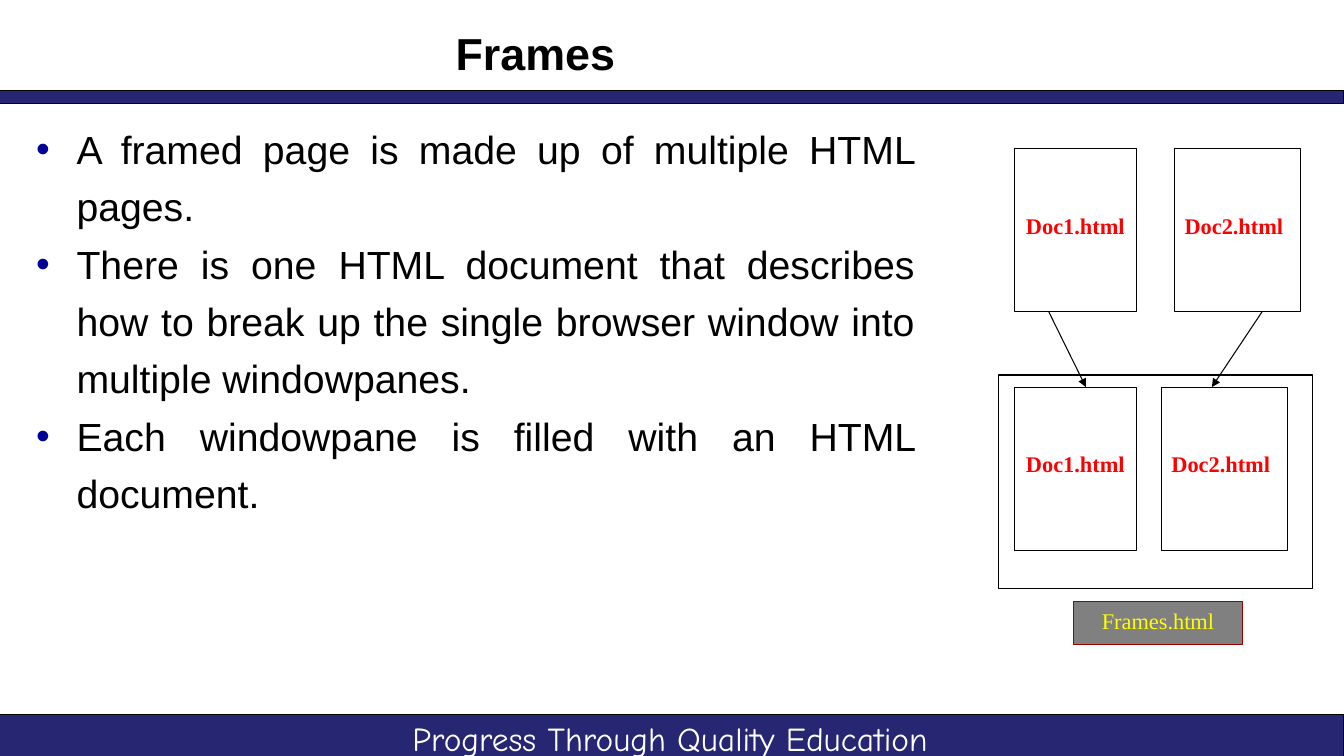
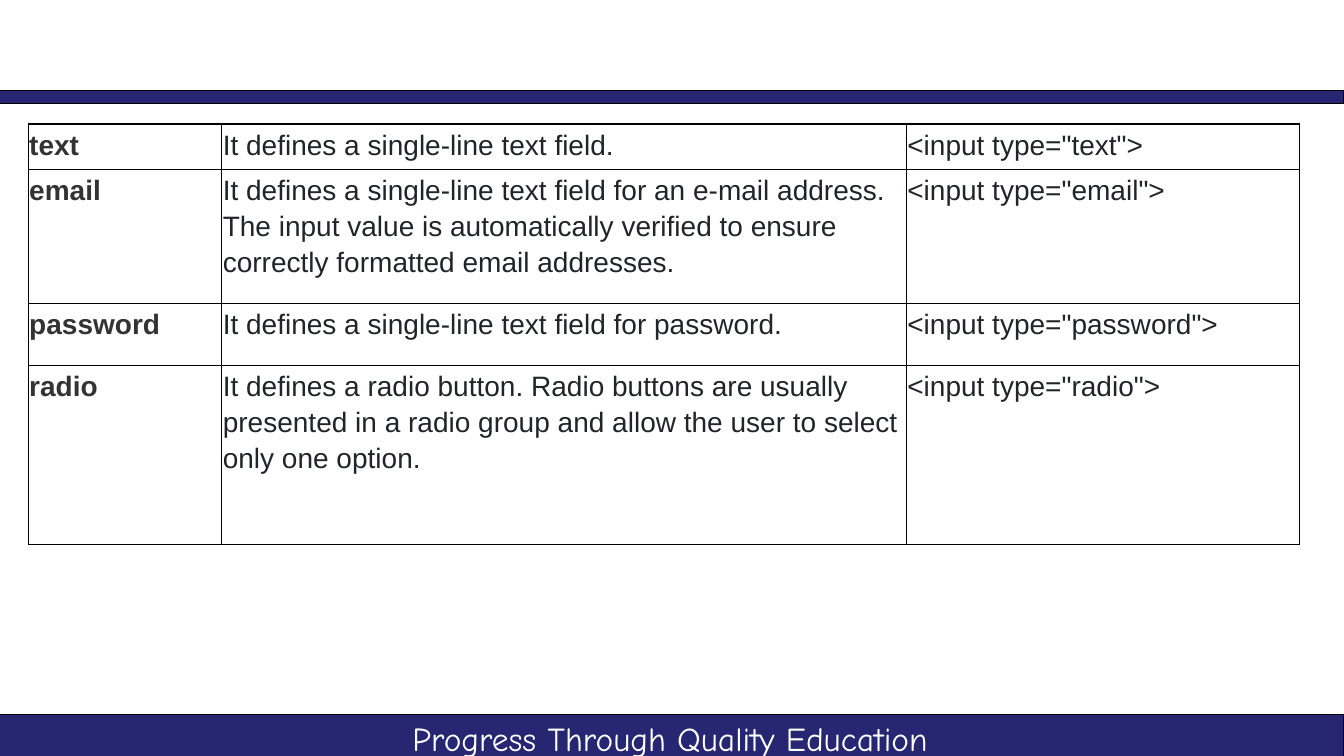
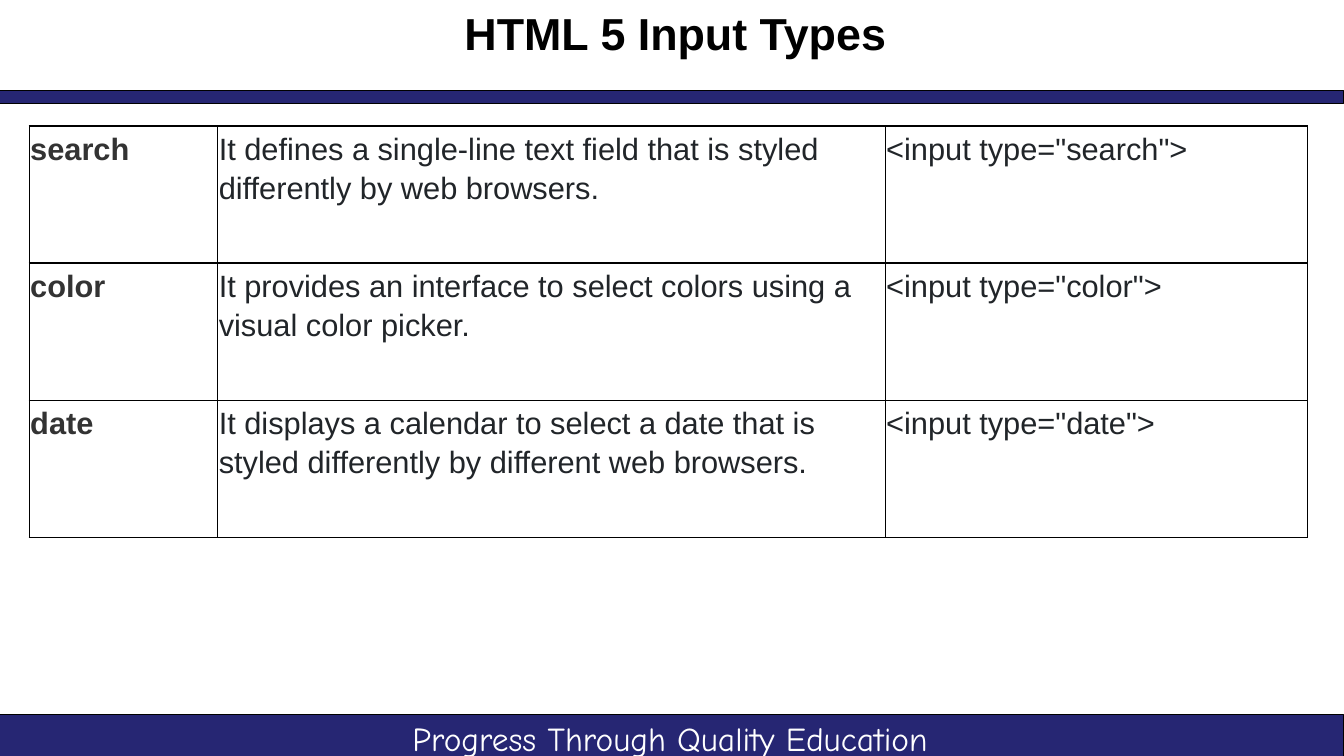
from dataclasses import dataclass
from typing import Any, NamedTuple

from lxml.etree import SubElement
from pptx import Presentation
from pptx.dml.color import RGBColor
from pptx.enum.shapes import MSO_CONNECTOR, MSO_SHAPE
from pptx.enum.text import MSO_ANCHOR, PP_ALIGN
from pptx.oxml.ns import qn
from pptx.util import Inches, Pt


@dataclass(frozen=True)
class Theme:
    band: str = "262673"
    black: str = "000000"
    white: str = "FFFFFF"
    bullet: str = "000097"
    document: str = "FF0000"
    caption: str = "FFFF00"
    caption_fill: str = "808080"
    caption_line: str = "990000"
    term: str = "333333"
    detail: str = "212529"
    sans: str = "Arial"
    serif: str = "Times New Roman"
    rounded: str = "Comic Neue"
    title_size: float = 32
    body_size: float = 28
    footer_size: float = 23.9
    label_size: float = 16
    line_width: float = 0.75
    border_width: float = 1


THEME = Theme()


class Area(NamedTuple):
    left: float
    top: float
    width: float
    height: float


class TextStyle(NamedTuple):
    font: str
    size: float
    color: str
    bold: bool = False


class Box(NamedTuple):
    area: Area
    text: str = ""
    style: TextStyle | None = None
    align: PP_ALIGN = PP_ALIGN.CENTER
    inset_top: float = 0.05
    fill: str = THEME.white
    line: str = THEME.black


class Arrow(NamedTuple):
    start: tuple[float, float]
    end: tuple[float, float]


class InputTable(NamedTuple):
    left: float
    top: float
    columns: list[float]
    rows: list[float]
    size: float
    entries: list[tuple[str, str]]


TITLE_STYLE = TextStyle(THEME.sans, THEME.title_size, THEME.black, True)
BODY_STYLE = TextStyle(THEME.sans, THEME.body_size, THEME.black)
FOOTER_STYLE = TextStyle(THEME.rounded, THEME.footer_size, THEME.white)
DOCUMENT_STYLE = TextStyle(THEME.serif, THEME.label_size, THEME.document, True)
CAPTION_STYLE = TextStyle(THEME.serif, THEME.label_size, THEME.caption)

BANDS = [
    Box(Area(0, 7.09, 13.33, 0.46), fill=THEME.band),
    Box(Area(0, 0.9, 13.33, 0.13), fill=THEME.band),
]

FRAME_POINTS = [
    "A framed page is made up of multiple HTML pages.",
    "There is one HTML document that describes how to break up the single "
    "browser window into multiple windowpanes.",
    "Each windowpane is filled with an HTML document.",
]

FIRST_TABLE = InputTable(
    0.28, 1.23, [1.92, 6.79, 3.9], [0.45, 1.33, 0.62, 1.77], 20,
    [
        ("text", "It defines a single-line text field."),
        ("email", "It defines a single-line text field for an e-mail address. "
                  "The input value is automatically verified to ensure "
                  "correctly formatted email addresses."),
        ("password", "It defines a single-line text field for password."),
        ("radio", "It defines a radio button. Radio buttons are usually "
                  "presented in a radio group and allow the user to select "
                  "only one option."),
    ],
)
SECOND_TABLE = InputTable(
    0.29, 1.25, [1.87, 6.62, 4.19], [1.36] * 3, 22,
    [
        ("search", "It defines a single-line text field that is styled "
                   "differently by web browsers."),
        ("color", "It provides an interface to select colors using a visual "
                  "color picker."),
        ("date", "It displays a calendar to select a date that is styled "
                 "differently by different web browsers."),
    ],
)


# Shared helpers
def apply(target: Any, values: dict[str, Any]) -> None:
    for name, value in values.items():
        setattr(target, name, value)


def lengths(area: Area) -> list[int]:
    return [Inches(value) for value in area]


def set_insets(frame: Any, side: float, top: float, bottom: float) -> None:
    apply(frame, {
        "word_wrap": True,
        "vertical_anchor": MSO_ANCHOR.TOP,
        "margin_left": Inches(side),
        "margin_right": Inches(side),
        "margin_top": Inches(top),
        "margin_bottom": Inches(bottom),
    })


def write(para: Any, text: str, style: TextStyle, **layout: Any) -> None:
    apply(para, layout)
    span = para.add_run()
    span.text = text
    apply(span.font, {"name": style.font, "size": Pt(style.size), "bold": style.bold})
    span.font.color.rgb = RGBColor.from_string(style.color)


def set_line(line: Any, color: str) -> None:
    line.color.rgb = RGBColor.from_string(color)
    line.width = Pt(THEME.line_width)


def add_box(page: Any, box: Box) -> None:
    shape = page.shapes.add_shape(MSO_SHAPE.RECTANGLE, *lengths(box.area))
    shape.shadow.inherit = False
    shape.fill.solid()
    shape.fill.fore_color.rgb = RGBColor.from_string(box.fill)
    set_line(shape.line, box.line)
    if box.style:
        set_insets(shape.text_frame, 0.1, box.inset_top, 0.05)
        write(shape.text_frame.paragraphs[0], box.text, box.style, alignment=box.align)


def add_arrow(page: Any, arrow: Arrow) -> None:
    points = [Inches(value) for value in (*arrow.start, *arrow.end)]
    connector = page.shapes.add_connector(MSO_CONNECTOR.STRAIGHT, *points)
    set_line(connector.line, THEME.black)
    SubElement(connector.line._get_or_add_ln(), qn("a:tailEnd"), type="triangle")
    SubElement(connector._element.spPr, qn("a:effectLst"))


# Page with bands, footer and an optional title
def add_page(deck: Any, title: str = "", title_area: Area | None = None) -> Any:
    page = deck.slides.add_slide(deck.slide_layouts[5 if title else 6])
    for band in BANDS:
        add_box(page, band)
    footer = page.shapes.add_textbox(*lengths(Area(3.48, 7.07, 6.33, 0.53)))
    set_insets(footer.text_frame, 0.1, 0.05, 0.05)
    write(footer.text_frame.paragraphs[0], "Progress Through Quality Education",
          FOOTER_STYLE, alignment=PP_ALIGN.CENTER)
    if title and title_area:
        heading = page.shapes.title
        apply(heading, dict(zip(("left", "top", "width", "height"), lengths(title_area))))
        set_insets(heading.text_frame, 0.11, 0.06, 0.06)
        write(heading.text_frame.paragraphs[0], title, TITLE_STYLE,
              alignment=PP_ALIGN.CENTER)
    return page


# Bulleted text
def add_bullets(page: Any, area: Area, points: list[str]) -> None:
    frame = page.shapes.add_textbox(*lengths(area)).text_frame
    set_insets(frame, 0.11, 0.06, 0.06)
    for index, point in enumerate(points):
        para = frame.add_paragraph() if index else frame.paragraphs[0]
        properties = para._p.get_or_add_pPr()
        properties.set("marL", str(Inches(0.43)))
        properties.set("indent", str(Inches(-0.4)))
        color = SubElement(properties, qn("a:buClr"))
        SubElement(color, qn("a:srgbClr"), val=THEME.bullet)
        SubElement(properties, qn("a:buFont"), typeface=THEME.sans)
        SubElement(properties, qn("a:buChar"), char="•")
        write(para, point, BODY_STYLE, alignment=PP_ALIGN.JUSTIFY, line_spacing=1.22)


# Table of input types
def add_borders(cell: Any) -> None:
    properties = cell._tc.get_or_add_tcPr()
    for side in ("lnL", "lnR", "lnT", "lnB"):
        line = SubElement(properties, qn(f"a:{side}"), w=str(Pt(THEME.border_width)))
        fill = SubElement(line, qn("a:solidFill"))
        SubElement(fill, qn("a:srgbClr"), val=THEME.black)


def add_input_table(page: Any, spec: InputTable) -> None:
    area = Area(spec.left, spec.top, sum(spec.columns), sum(spec.rows))
    table = page.shapes.add_table(
        len(spec.rows), len(spec.columns), *lengths(area)).table
    apply(table, {"first_row": False, "horz_banding": False})
    for column, width in zip(table.columns, spec.columns):
        column.width = Inches(width)
    term_style = TextStyle(THEME.sans, spec.size, THEME.term, True)
    detail_style = TextStyle(THEME.sans, spec.size, THEME.detail)
    styles = (term_style, detail_style, detail_style)
    for row, height, (term, detail) in zip(table.rows, spec.rows, spec.entries):
        row.height = Inches(height)
        texts = (term, detail, f'<input type="{term}">')
        for cell, text, style in zip(row.cells, texts, styles):
            set_insets(cell, 0.01, 0.01, 0.01)
            add_borders(cell)
            cell.fill.solid()
            cell.fill.fore_color.rgb = RGBColor.from_string(THEME.white)
            write(cell.text_frame.paragraphs[0], text, style,
                  line_spacing=1.15, space_after=Pt(12))


# Diagram of two documents loaded into one framed window
def add_frames_diagram(page: Any) -> None:
    document_top, pane_top = 1.47, 3.84
    add_box(page, Box(Area(9.9, 3.72, 3.12, 2.12)))
    for top, second_left in ((pane_top, 11.52), (document_top, 11.65)):
        for text, left, width, align in (
            ("Doc2.html", second_left, 1.25, PP_ALIGN.LEFT),
            ("Doc1.html", 10.06, 1.21, PP_ALIGN.CENTER),
        ):
            add_box(page, Box(Area(left, top, width, 1.62), text,
                              DOCUMENT_STYLE, align, inset_top=0.63))
    add_box(page, Box(Area(10.65, 5.97, 1.67, 0.42), "Frames.html", CAPTION_STYLE,
                      fill=THEME.caption_fill, line=THEME.caption_line))
    for start, end in ((10.4, 10.77), (12.52, 12.02)):
        add_arrow(page, Arrow((start, document_top + 1.62), (end, pane_top)))


def main() -> None:
    deck = Presentation()
    apply(deck, {"slide_width": Inches(13.33), "slide_height": Inches(7.5)})

    frames_page = add_page(deck, "Frames", Area(0.25, 0.2, 10.12, 0.59))
    add_bullets(frames_page, Area(0.22, 1.08, 8.96, 5.79), FRAME_POINTS)
    add_frames_diagram(frames_page)

    add_input_table(add_page(deck), FIRST_TABLE)

    types_page = add_page(deck, "HTML 5 Input Types", Area(2.45, 0, 8.5, 1.25))
    add_input_table(types_page, SECOND_TABLE)

    deck.save("out.pptx")


if __name__ == "__main__":
    main()
